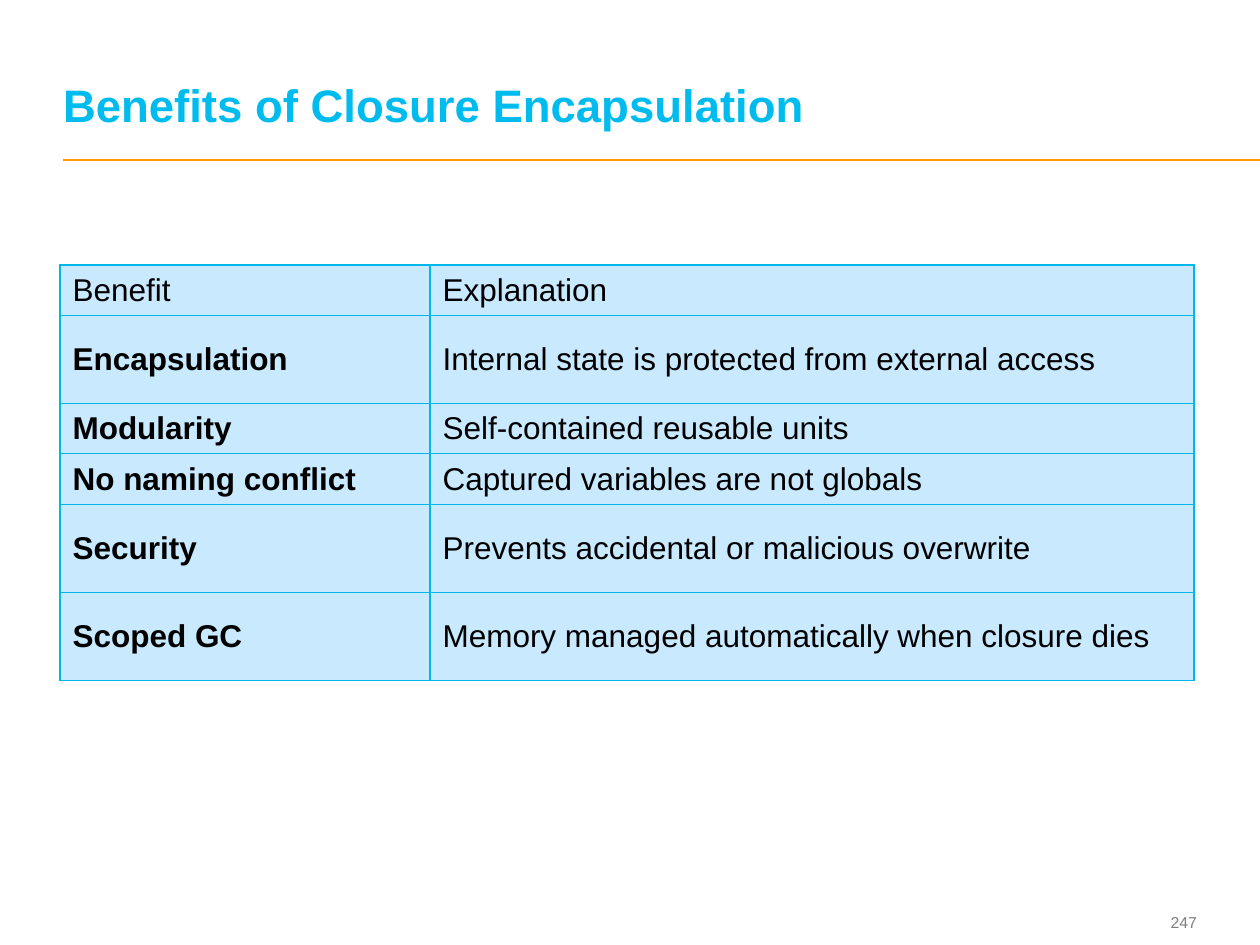
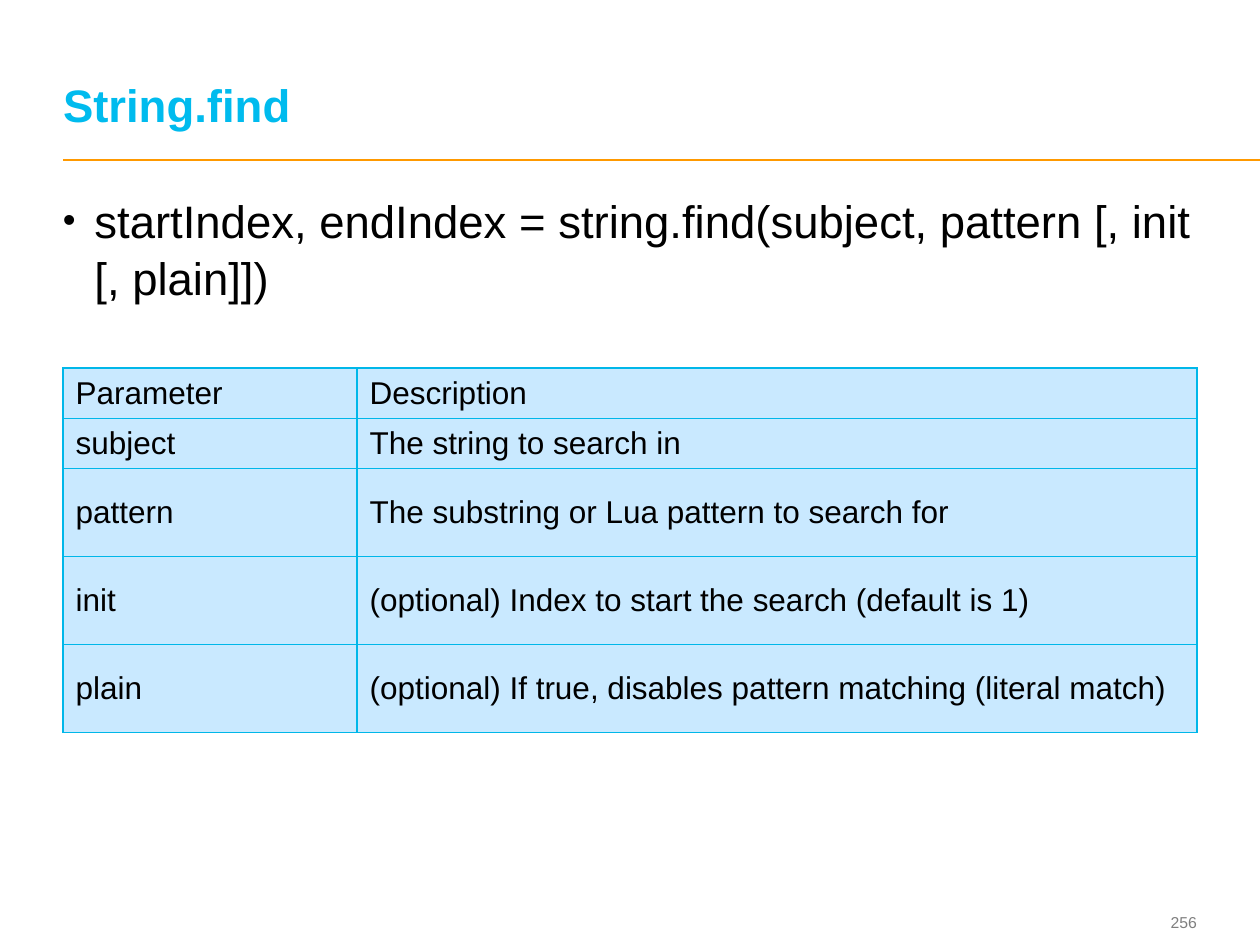
from dataclasses import dataclass

from lxml import etree
from pptx import Presentation
from pptx import util as u
from pptx.dml.color import RGBColor
from pptx.enum import shapes, text
from pptx.oxml import ns

PX_PER_INCH = 126
SHORT_ROW, TALL_ROW = 50, 88


@dataclass(frozen=True)
class Theme:
    font: str = "Arial"
    title: str = "00BBEE"
    rule: str = "FF9900"
    ink: str = "000000"
    muted: str = "7F7F7F"
    cell: str = "C9E9FF"
    border: str = "00B7E9"
    title_size: int = 26
    body_size: int = 26
    table_size: int = 18
    number_size: int = 9


THEME = Theme()

BENEFITS = [
    ("Benefit", "Explanation", SHORT_ROW),
    ("Encapsulation", "Internal state is protected from external access", TALL_ROW),
    ("Modularity", "Self-contained reusable units", SHORT_ROW),
    ("No naming conflict", "Captured variables are not globals", SHORT_ROW),
    ("Security", "Prevents accidental or malicious overwrite", TALL_ROW),
    ("Scoped GC", "Memory managed automatically when closure dies", TALL_ROW),
]

FIND_PARAMETERS = [
    ("Parameter", "Description", SHORT_ROW),
    ("subject", "The string to search in", SHORT_ROW),
    ("pattern", "The substring or Lua pattern to search for", TALL_ROW),
    ("init", "(optional) Index to start the search (default is 1)", TALL_ROW),
    ("plain", "(optional) If true, disables pattern matching (literal match)", TALL_ROW),
]


def px(length):
    return u.Emu(round(length * u.Inches(1) / PX_PER_INCH))


def add_element(parent, tag, **attributes):
    return etree.SubElement(parent, ns.qn(tag), attributes)


def style_font(paragraph, size, color, bold=False):
    font = paragraph.font
    font.name, font.size, font.bold = THEME.font, u.Pt(size), bold
    font.color.rgb = RGBColor.from_string(color)


def add_text_box(page, left, top, width, height, words, anchor):
    """Add a text box without margins and return its paragraph."""
    frame = page.shapes.add_textbox(px(left), px(top), px(width), px(height)).text_frame
    frame.word_wrap = True
    frame.vertical_anchor = anchor
    frame.margin_left = frame.margin_top = frame.margin_right = frame.margin_bottom = 0
    paragraph = frame.paragraphs[0]
    paragraph.text = words
    return paragraph


# Shared page parts
def add_rule(page):
    rule = page.shapes.add_connector(
        shapes.MSO_CONNECTOR.STRAIGHT, px(63), px(160), px(1260), px(160))
    rule.line.color.rgb = RGBColor.from_string(THEME.rule)
    rule.line.width = u.Pt(1)
    add_element(rule._element.spPr, "a:effectLst")


def add_page(deck, title, number):
    page = deck.slides.add_slide(deck.slide_layouts[6])
    add_rule(page)
    footer = add_text_box(page, 1123, 905, 74, 34, number, text.MSO_ANCHOR.MIDDLE)
    footer.alignment = text.PP_ALIGN.RIGHT
    style_font(footer, THEME.number_size, THEME.muted)
    heading = add_text_box(page, 63, 24, 1130, 108, title, text.MSO_ANCHOR.BOTTOM)
    heading.line_spacing = u.Pt(THEME.title_size)
    style_font(heading, THEME.title_size, THEME.title, bold=True)
    return page


# Bulleted body text
def add_bullet(page, left, top, width, height, words):
    paragraph = add_text_box(page, left, top, width, height, words, text.MSO_ANCHOR.TOP)
    paragraph.line_spacing = 1.05
    indent = u.Inches(0.25)
    properties = paragraph._p.get_or_add_pPr()
    properties.set("marL", str(indent))
    properties.set("indent", str(-indent))
    color = add_element(properties, "a:buClr")
    add_element(color, "a:srgbClr", val=THEME.ink)
    add_element(properties, "a:buSzPct", val="80000")
    add_element(properties, "a:buFont", typeface=THEME.font)
    add_element(properties, "a:buChar", char="•")
    style_font(paragraph, THEME.body_size, THEME.ink)


# Tables
def add_borders(cell):
    properties = cell._tc.get_or_add_tcPr()
    for side in ("a:lnL", "a:lnR", "a:lnT", "a:lnB"):
        line = add_element(properties, side, w=str(u.Pt(0.75)))
        fill = add_element(line, "a:solidFill")
        add_element(fill, "a:srgbClr", val=THEME.border)


def fill_cell(cell, words, bold):
    add_borders(cell)
    cell.fill.solid()
    cell.fill.fore_color.rgb = RGBColor.from_string(THEME.cell)
    cell.vertical_anchor = text.MSO_ANCHOR.MIDDLE
    cell.text = words
    style_font(cell.text_frame.paragraphs[0], THEME.table_size, THEME.ink, bold)


def add_grid(page, left, top, widths, rows, bold_labels=False):
    height = sum(row[-1] for row in rows)
    table = page.shapes.add_table(
        len(rows), len(widths), px(left), px(top), px(sum(widths)), px(height)).table
    table.first_row = table.horz_banding = False
    for column, width in zip(table.columns, widths):
        column.width = px(width)
    for index, (*words, row_height) in enumerate(rows):
        table.rows[index].height = px(row_height)
        for position, entry in enumerate(words):
            is_label = index > 0 and position == 0
            fill_cell(table.cell(index, position), entry, bold_labels and is_label)


def main():
    deck = Presentation()
    deck.slide_width, deck.slide_height = px(1260), px(945)

    # Closure benefits
    page = add_page(deck, "Benefits of Closure Encapsulation", "247")
    add_grid(page, 60, 265, (370, 764), BENEFITS, bold_labels=True)

    # String search
    page = add_page(deck, "String.find", "256")
    add_bullet(page, 63, 190, 1134, 156,
               "startIndex, endIndex = string.find(subject, pattern [, init [, plain]])")
    add_grid(page, 63, 368, (294, 840), FIND_PARAMETERS)

    deck.save("out.pptx")


if __name__ == "__main__":
    main()
